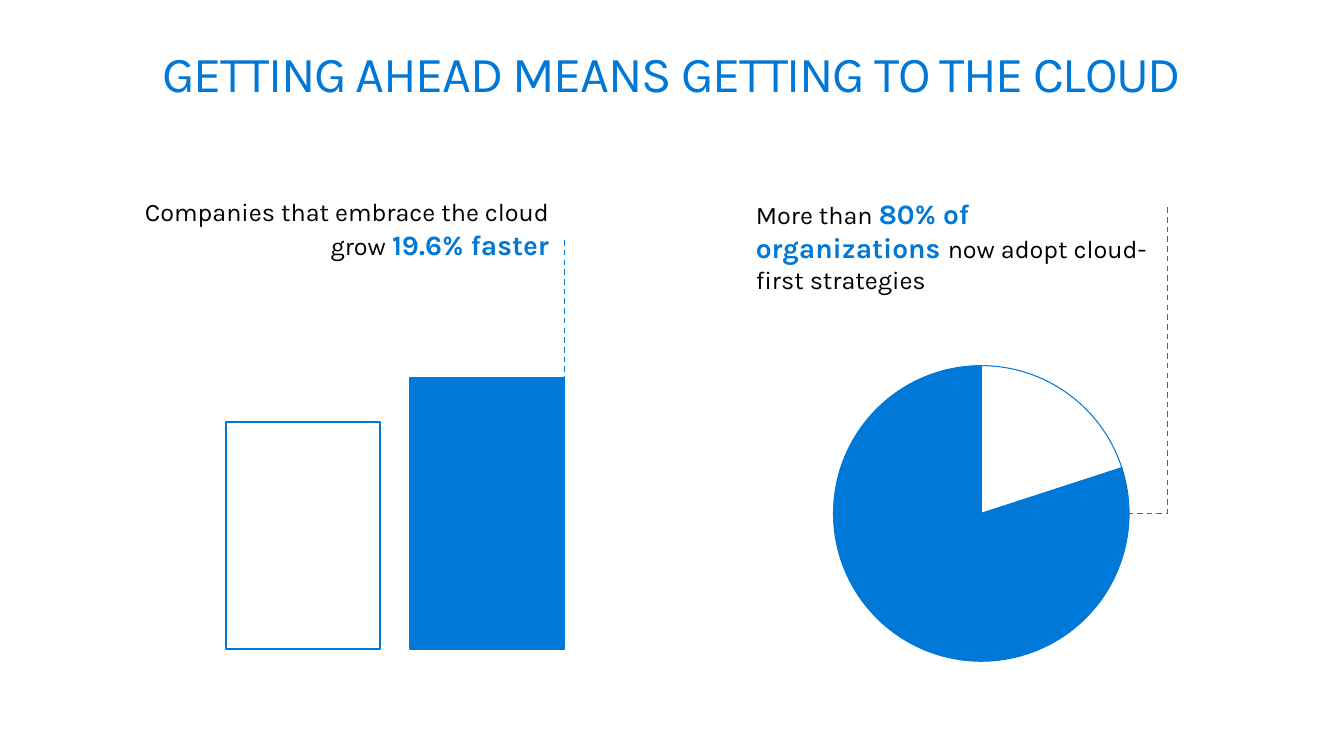
import pptx
import pptx.chart.data
import pptx.dml.color
import pptx.enum.chart
import pptx.enum.dml
import pptx.enum.shapes
import pptx.enum.text
import pptx.oxml
import pptx.oxml.ns
import pptx.util
from lxml import etree

Cm = pptx.util.Cm
Pt = pptx.util.Pt
qn = pptx.oxml.ns.qn
Align = pptx.enum.text.PP_ALIGN
Connector = pptx.enum.shapes.MSO_CONNECTOR

BLUE = pptx.dml.color.RGBColor(0x00, 0x78, 0xD7)
BLACK = pptx.dml.color.RGBColor(0x00, 0x00, 0x00)
WHITE = pptx.dml.color.RGBColor(0xFF, 0xFF, 0xFF)
FONT = "Karla"

BAR_WIDTH = 3.89
BAR_BASELINE = 16.36
PIE_LAYOUT = (
    f'<c:layout {pptx.oxml.ns.nsdecls("c")}><c:manualLayout>'
    '<c:layoutTarget val="inner"/><c:xMode val="edge"/><c:yMode val="edge"/>'
    '<c:x val="0.04"/><c:y val="0.04"/><c:w val="0.92"/><c:h val="0.92"/>'
    '</c:manualLayout></c:layout>'
)


def add_text_box(slide, left, top, width, height, insets, alignment):
    text_frame = slide.shapes.add_textbox(
        Cm(left), Cm(top), Cm(width), Cm(height)).text_frame
    text_frame.word_wrap = True
    text_frame.margin_left, text_frame.margin_top = Cm(insets[0]), Cm(insets[1])
    text_frame.margin_right, text_frame.margin_bottom = Cm(insets[2]), Cm(insets[1])
    paragraph = text_frame.paragraphs[0]
    paragraph.alignment = alignment
    return text_frame, paragraph


def style_font(font, size, color, bold=False):
    font.name = FONT
    font.size = Pt(size)
    font.bold = bold
    font.color.rgb = color


def add_title(slide, text):
    text_frame, paragraph = add_text_box(
        slide, 0.74, 0.99, 32.39, 2.49, (0.41, 0.25, 0.41), Align.CENTER)
    paragraph.text = text
    paragraph.line_spacing = 0.9
    run = paragraph.runs[0]
    style_font(run.font, 36, BLUE)
    run.font._element.set("spc", "-100")


def add_statement(slide, left, width, insets, alignment, parts):
    text_frame, paragraph = add_text_box(
        slide, left, 4.83, width, 1.88, insets, alignment)
    text_frame.auto_size = pptx.enum.text.MSO_AUTO_SIZE.SHAPE_TO_FIT_TEXT
    paragraph.space_after = Pt(16)
    for text, highlighted in parts:
        run = paragraph.add_run()
        run.text = text
        style_font(run.font, 20 if highlighted else 18,
                   BLUE if highlighted else BLACK, highlighted)


def add_bar(slide, left, height, color):
    bar = slide.shapes.add_shape(
        pptx.enum.shapes.MSO_SHAPE.RECTANGLE,
        Cm(left), Cm(BAR_BASELINE - height), Cm(BAR_WIDTH), Cm(height))
    bar.shadow.inherit = False
    bar.fill.solid()
    bar.fill.fore_color.rgb = color
    bar.line.color.rgb = BLUE
    bar.line.width = Pt(1.25)


def add_dashed_line(slide, kind, begin_x, begin_y, end_x, end_y):
    connector = slide.shapes.add_connector(
        kind, Cm(begin_x), Cm(begin_y), Cm(end_x), Cm(end_y))
    connector.line.color.rgb = BLUE
    connector.line.width = Pt(1)
    connector.line.dash_style = pptx.enum.dml.MSO_LINE.DASH
    etree.SubElement(connector._element.spPr, qn("a:effectLst"))
    return connector


def turn_elbow(connector, degrees, bend):
    properties = connector._element.spPr
    properties.find(qn("a:xfrm")).set("rot", str(degrees * 60000))
    geometry = properties.find(qn("a:prstGeom"))
    adjustments = geometry.find(qn("a:avLst"))
    if adjustments is None:
        adjustments = etree.SubElement(geometry, qn("a:avLst"))
    guide = etree.SubElement(adjustments, qn("a:gd"))
    guide.set("name", "adj1")
    guide.set("fmla", f"val {round(bend * 100000)}")


def add_pie(slide, left, top, size):
    data = pptx.chart.data.CategoryChartData()
    data.categories = ["1", "2"]
    data.add_series("Series 1", (80, 20))
    chart = slide.shapes.add_chart(
        pptx.enum.chart.XL_CHART_TYPE.PIE,
        Cm(left), Cm(top), Cm(size), Cm(size), data).chart
    chart.has_legend = False
    chart.has_title = False
    style_font(chart.font, 10, BLACK)
    plot = chart.plots[0]
    plot.vary_by_categories = False
    adopters, others = (plot.series[0].points[index].format for index in range(2))
    adopters.fill.solid()
    adopters.fill.fore_color.rgb = BLUE
    others.fill.background()
    for slice_format in (plot.series[0].format, adopters, others):
        slice_format.line.color.rgb = BLUE
        slice_format.line.width = Pt(0.75)
    pie = plot._element
    angle = pie.find(qn("c:firstSliceAng"))
    if angle is None:
        angle = etree.SubElement(pie, qn("c:firstSliceAng"))
    angle.set("val", "72")
    plot_area = pie.getparent()
    for layout in plot_area.findall(qn("c:layout")):
        plot_area.remove(layout)
    plot_area.insert(0, pptx.oxml.parse_xml(PIE_LAYOUT))


def main():
    presentation = pptx.Presentation()
    presentation.slide_width = Cm(33.87)
    presentation.slide_height = Cm(19.05)
    slide = presentation.slides.add_slide(presentation.slide_layouts[6])

    add_title(slide, "GETTING AHEAD MEANS GETTING TO THE CLOUD")
    add_statement(slide, 18.67, 10.72, (0.38, 0.13, 0.25), Align.LEFT, [
        ("More than ", False),
        ("80% of organizations ", True),
        ("now adopt cloud-first strategies", False),
    ])
    add_pie(slide, 20.68, 8.89, 8.1)
    add_statement(slide, 3.02, 11.2, (0.25, 0.13, 0.38), Align.RIGHT, [
        ("Companies that embrace the cloud grow ", False),
        ("19.6% faster", True),
    ])
    add_bar(slide, 5.69, 5.72, WHITE)
    add_bar(slide, 10.34, 6.83, BLUE)
    add_dashed_line(slide, Connector.STRAIGHT, 14.22, 6.05, 14.22, 9.8)
    pie_leader = add_dashed_line(slide, Connector.ELBOW, 24.69, 8.53, 32.72, 9.95)
    turn_elbow(pie_leader, 90, 0.96)

    presentation.save("out.pptx")


if __name__ == "__main__":
    main()
